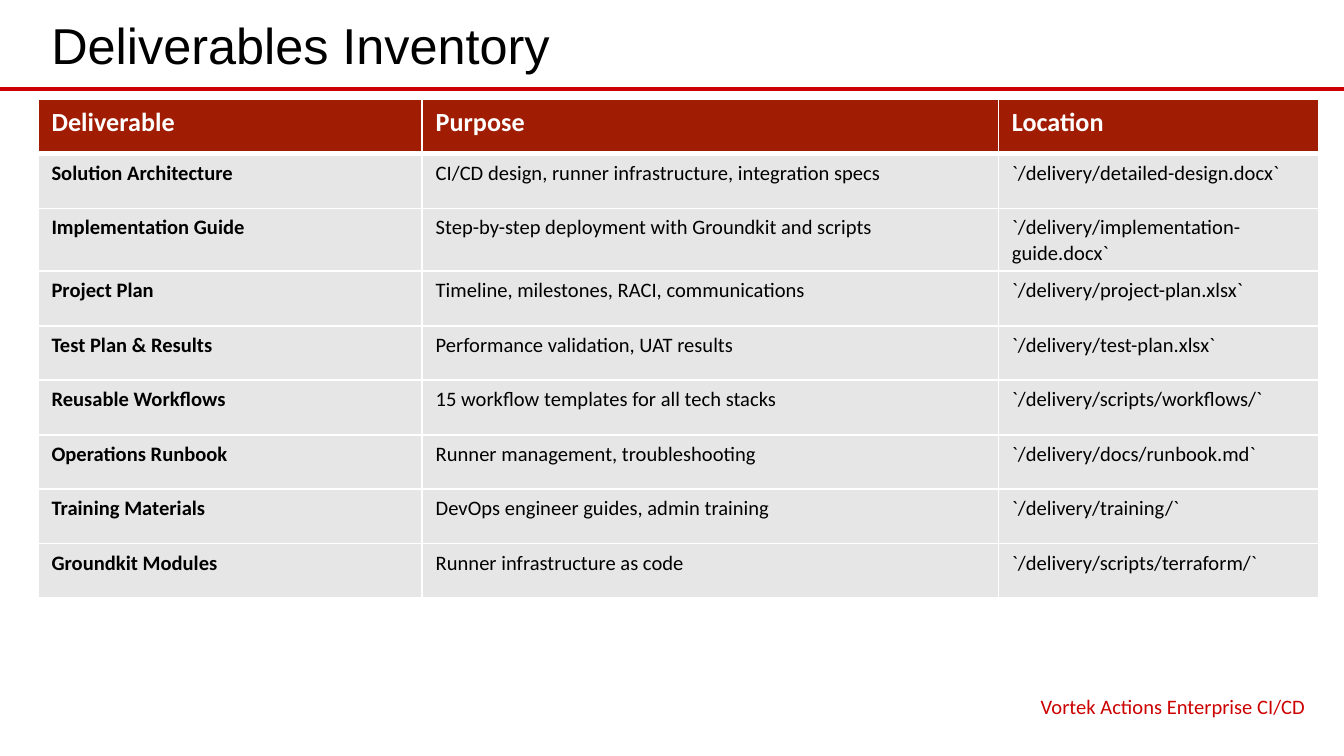
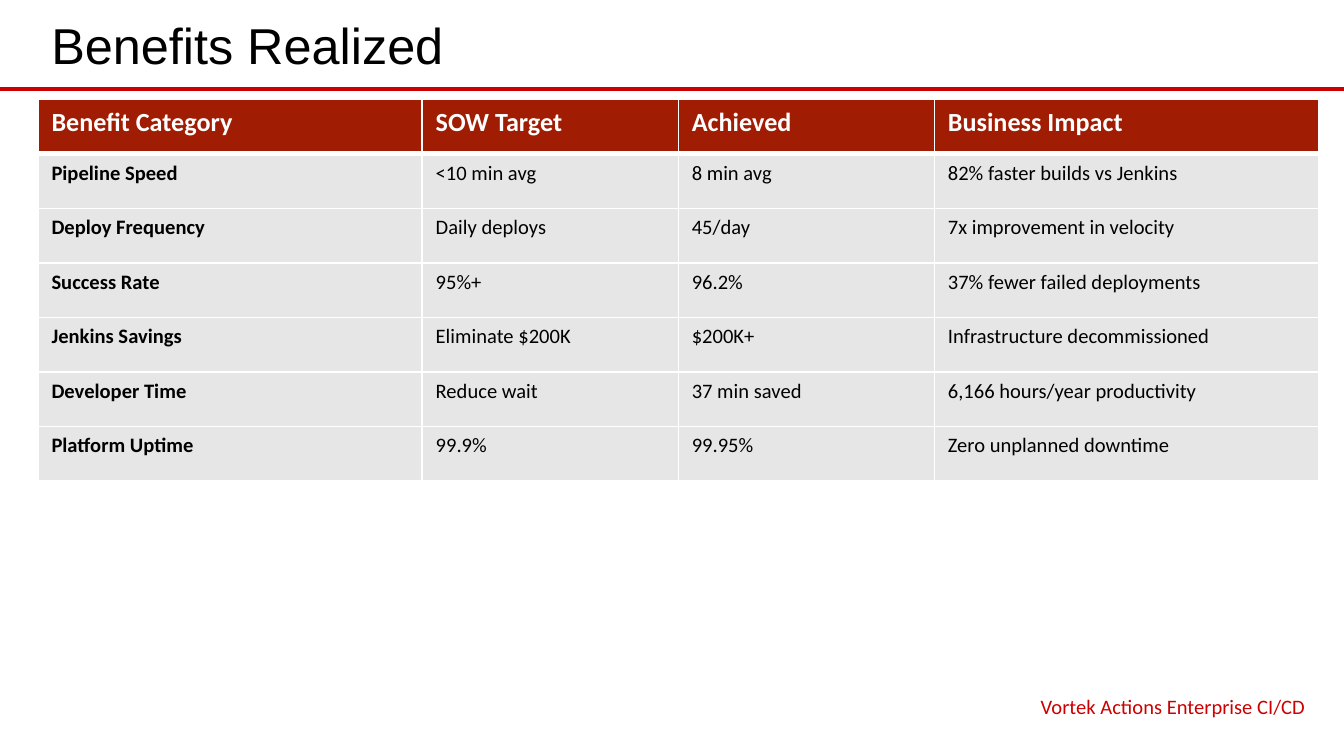
"""Build two table slides: the deliverables inventory and the benefits realized."""
from lxml.etree import SubElement
from pptx import Presentation
from pptx.dml.color import RGBColor
from pptx.enum.shapes import MSO_CONNECTOR
from pptx.enum.text import MSO_ANCHOR as Anchor, PP_ALIGN as Align
from pptx.oxml.ns import qn
from pptx.util import Cm, Pt

FOOTER = "Vortek Actions Enterprise CI/CD"
SLIDES = [
    {
        "title": "Deliverables Inventory",
        "shares": (0.30, 0.45, 0.25),
        "rows": [
            ("Deliverable", "Purpose", "Location"),
            ("Solution Architecture", "CI/CD design, runner infrastructure, integration specs",
             "`/delivery/detailed-design.docx`"),
            ("Implementation Guide", "Step-by-step deployment with Groundkit and scripts",
             "`/delivery/implementation-guide.docx`"),
            ("Project Plan", "Timeline, milestones, RACI, communications",
             "`/delivery/project-plan.xlsx`"),
            ("Test Plan & Results", "Performance validation, UAT results",
             "`/delivery/test-plan.xlsx`"),
            ("Reusable Workflows", "15 workflow templates for all tech stacks",
             "`/delivery/scripts/workflows/`"),
            ("Operations Runbook", "Runner management, troubleshooting",
             "`/delivery/docs/runbook.md`"),
            ("Training Materials", "DevOps engineer guides, admin training",
             "`/delivery/training/`"),
            ("Groundkit Modules", "Runner infrastructure as code",
             "`/delivery/scripts/terraform/`"),
        ],
    },
    {
        "title": "Benefits Realized",
        "shares": (0.30, 0.20, 0.20, 0.30),
        "rows": [
            ("Benefit Category", "SOW Target", "Achieved", "Business Impact"),
            ("Pipeline Speed", "<10 min avg", "8 min avg", "82% faster builds vs Jenkins"),
            ("Deploy Frequency", "Daily deploys", "45/day", "7x improvement in velocity"),
            ("Success Rate", "95%+", "96.2%", "37% fewer failed deployments"),
            ("Jenkins Savings", "Eliminate $200K", "$200K+", "Infrastructure decommissioned"),
            ("Developer Time", "Reduce wait", "37 min saved", "6,166 hours/year productivity"),
            ("Platform Uptime", "99.9%", "99.95%", "Zero unplanned downtime"),
        ],
    },
]

WHITE = RGBColor(0xFF, 0xFF, 0xFF)
BLACK = RGBColor(0x00, 0x00, 0x00)
RED = RGBColor(0xCC, 0x00, 0x00)
HEADER_RED = RGBColor(0xA0, 0x1C, 0x02)
ROW_GREY = RGBColor(0xE7, 0xE6, 0xE6)
HEADING_FONT, BODY_FONT = "Arial", "Calibri"

WIDTH, HEIGHT = Cm(25.4), Cm(14.29)
LEFT, CONTENT_WIDTH = Cm(0.72), Cm(24.2)
RULE_TOP = Cm(1.68)
TABLE_TOP, ROW_HEIGHT = Cm(1.88), Cm(1.03)
FOOTER_WIDTH = Cm(8.94)


def add_run(paragraph, text, font_name, size, color, bold=False):
    run = paragraph.add_run()
    run.text = text
    font = run.font
    font.name, font.size, font.bold = font_name, Pt(size), bold
    font.color.rgb = color


def add_text(slide, box, text, font_name, size, color, anchor, align):
    frame = slide.shapes.add_textbox(*box).text_frame
    frame.word_wrap = True
    frame.vertical_anchor = anchor
    paragraph = frame.paragraphs[0]
    paragraph.alignment = align
    add_run(paragraph, text, font_name, size, color)


def add_rule(slide):
    rule = slide.shapes.add_connector(MSO_CONNECTOR.STRAIGHT, 0, RULE_TOP, WIDTH, RULE_TOP)
    rule.line.color.rgb = RED
    rule.line.width = Pt(2.25)
    SubElement(rule._element.spPr, qn("a:effectLst"))


def set_borders(cell, top, bottom):
    properties = cell._tc.get_or_add_tcPr()
    for side, points in (("L", 1), ("R", 1), ("T", top), ("B", bottom)):
        line = SubElement(properties, qn(f"a:ln{side}"), w=str(Pt(points)))
        fill = SubElement(line, qn("a:solidFill"))
        SubElement(fill, qn("a:srgbClr"), val=str(WHITE))


def add_table(slide, rows, shares):
    table = slide.shapes.add_table(
        len(rows), len(shares), LEFT, TABLE_TOP, CONTENT_WIDTH, ROW_HEIGHT * len(rows)
    ).table
    for column, share in zip(table.columns, shares):
        column.width = round(CONTENT_WIDTH * share)
    for row_index, texts in enumerate(rows):
        table.rows[row_index].height = ROW_HEIGHT
        header = row_index == 0
        for column_index, text in enumerate(texts):
            cell = table.cell(row_index, column_index)
            set_borders(cell, 3 if row_index == 1 else 1, 3 if header else 1)
            cell.fill.solid()
            cell.fill.fore_color.rgb = HEADER_RED if header else ROW_GREY
            add_run(cell.text_frame.paragraphs[0], text, BODY_FONT,
                    14 if header else 11, WHITE if header else BLACK,
                    header or column_index == 0)


def main():
    presentation = Presentation()
    presentation.slide_width, presentation.slide_height = WIDTH, HEIGHT
    title_box = (LEFT, Cm(0.1), CONTENT_WIDTH, Cm(1.48))
    footer_box = (LEFT + CONTENT_WIDTH - FOOTER_WIDTH, Cm(13), FOOTER_WIDTH, Cm(0.66))
    for content in SLIDES:
        slide = presentation.slides.add_slide(presentation.slide_layouts[6])
        add_rule(slide)
        add_text(slide, title_box, content["title"], HEADING_FONT, 27, BLACK,
                 Anchor.MIDDLE, Align.LEFT)
        add_table(slide, content["rows"], content["shares"])
        add_text(slide, footer_box, FOOTER, BODY_FONT, 11, RED, Anchor.TOP, Align.RIGHT)
    presentation.save("out.pptx")


if __name__ == "__main__":
    main()
